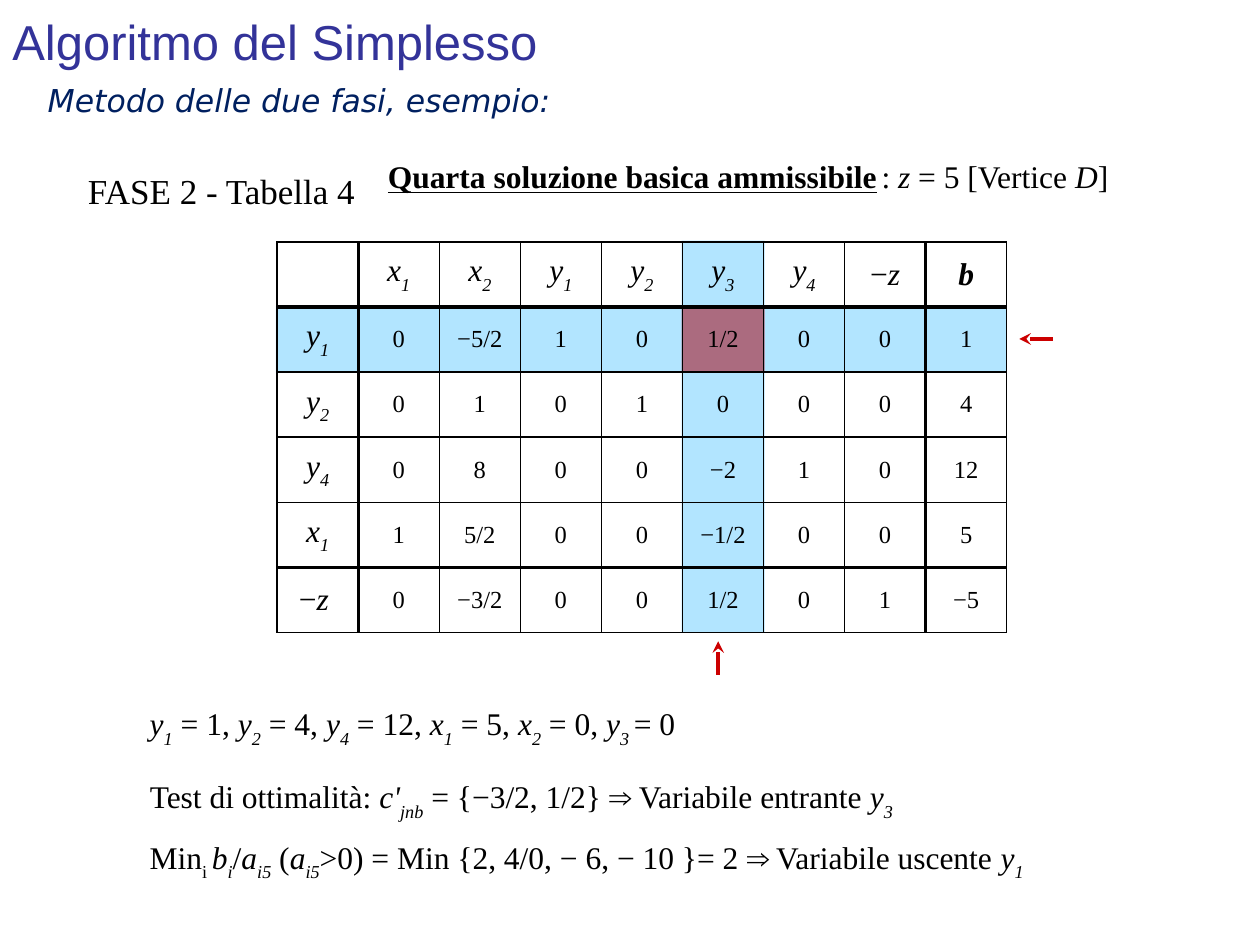
from pptx import Presentation
from pptx.dml.color import RGBColor
from pptx.enum.shapes import MSO_CONNECTOR as Connector, MSO_SHAPE as Shape
from pptx.enum.text import MSO_ANCHOR as Anchor, PP_ALIGN as Align
from pptx.oxml import parse_xml
from pptx.oxml.ns import nsdecls, qn
from pptx.util import Inches, Pt

BLACK = RGBColor(0x00, 0x00, 0x00)
TITLE_BLUE = RGBColor(0x33, 0x33, 0x99)
NAVY = RGBColor(0x00, 0x20, 0x60)
SKY = RGBColor(0x66, 0xCC, 0xFF)
RED = RGBColor(0xCC, 0x00, 0x00)
SERIF = "Times New Roman"

THIN, THICK = 1, 2.25
THICK_COLUMN_EDGES = {1, 8}
THICK_ROW_EDGES = {1, 5}


def var(name, index):
    """Runs of an italic variable with an italic subscript."""
    return [(name, "i"), (index, "is")]


MINUS_Z = ["−", ("z", "i")]
HEADER = [[], var("x", "1"), var("x", "2"), var("y", "1"), var("y", "2"),
          var("y", "3"), var("y", "4"), MINUS_Z, [("b", "bi")]]
TABLEAU = [
    (var("y", "1"), "0 −5/2 1 0 1/2 0 0 1"),
    (var("y", "2"), "0 1 0 1 0 0 0 4"),
    (var("y", "4"), "0 8 0 0 −2 1 0 12"),
    (var("x", "1"), "1 5/2 0 0 −1/2 0 0 5"),
    (["−", ("z ", "i")], "0 −3/2 0 0 1/2 0 1 −5"),
]


def write(paragraph, runs, size=18, font=SERIF, color=BLACK, align=Align.LEFT):
    """Write runs: plain strings or (text, style), style letters b, i, u, s(ubscript)."""
    paragraph.alignment = align
    for item in runs:
        text, style = (item, "") if isinstance(item, str) else item
        run = paragraph.add_run()
        run.text = text
        run.font.size = Pt(size)
        run.font.name = font
        run.font.color.rgb = color
        run.font.bold = "b" in style
        run.font.italic = "i" in style
        run.font.underline = "u" in style
        if "s" in style:
            run.font._element.set("baseline", "-30000")


def add_text(slide, left, top, width, height, runs, anchor=Anchor.TOP, **text_format):
    box = slide.shapes.add_textbox(Inches(left), Inches(top), Inches(width), Inches(height))
    box.text_frame.word_wrap = True
    box.text_frame.vertical_anchor = anchor
    write(box.text_frame.paragraphs[0], runs, **text_format)


def add_highlight(slide, left, top, width, height, color):
    shape = slide.shapes.add_shape(
        Shape.RECTANGLE, Inches(left), Inches(top), Inches(width), Inches(height))
    shape.shadow.inherit = False
    shape.line.fill.background()
    shape.fill.solid()
    shape.fill.fore_color.rgb = color
    color_element = shape._element.spPr.find(qn("a:solidFill"))[0]
    color_element.append(parse_xml(f'<a:alpha {nsdecls("a")} val="50000"/>'))


def add_arrow(slide, tip_x, tip_y, tail_x, tail_y):
    arrow = slide.shapes.add_connector(
        Connector.STRAIGHT, Inches(tip_x), Inches(tip_y), Inches(tail_x), Inches(tail_y))
    arrow.line.color.rgb = RED
    arrow.line.width = Pt(2.25)
    arrow.line._get_or_add_ln().append(
        parse_xml(f'<a:headEnd {nsdecls("a")} type="stealth"/>'))
    arrow._element.spPr.append(parse_xml(f'<a:effectLst {nsdecls("a")}/>'))


def set_borders(cell, row, column):
    edges = {
        "lnL": column in THICK_COLUMN_EDGES,
        "lnR": column + 1 in THICK_COLUMN_EDGES,
        "lnT": row in THICK_ROW_EDGES,
        "lnB": row + 1 in THICK_ROW_EDGES,
    }
    properties = cell._tc.get_or_add_tcPr()
    for tag, thick in edges.items():
        width = Pt(THICK if thick else THIN)
        properties.append(parse_xml(
            f'<a:{tag} {nsdecls("a")} w="{width}"><a:solidFill>'
            f'<a:srgbClr val="{BLACK}"/></a:solidFill></a:{tag}>'))


def add_tableau(slide, left, top, width, height):
    rows = [HEADER] + [[basis] + [[value] for value in values.split()]
                       for basis, values in TABLEAU]
    table = slide.shapes.add_table(
        len(rows), len(HEADER), Inches(left), Inches(top), Inches(width), Inches(height)).table
    table.first_row = table.horz_banding = False
    for column in table.columns:
        column.width = Inches(width / len(HEADER))
    for r, row in enumerate(rows):
        table.rows[r].height = Inches(height / len(rows))
        for c, runs in enumerate(row):
            cell = table.cell(r, c)
            set_borders(cell, r, c)
            cell.fill.background()
            cell.vertical_anchor = Anchor.MIDDLE
            size = 18 if r == 0 or c == 0 else 14
            write(cell.text_frame.paragraphs[0], runs, size=size, align=Align.CENTER)


def main():
    presentation = Presentation()
    presentation.slide_width, presentation.slide_height = Inches(10), Inches(7.5)
    slide = presentation.slides.add_slide(presentation.slide_layouts[6])

    # Pivot row, pivot column and pivot element, behind the table
    add_highlight(slide, 2.19, 2.43, 5.8, 0.53, SKY)
    add_highlight(slide, 5.41, 1.91, 0.66, 3.11, SKY)
    add_highlight(slide, 5.41, 2.44, 0.66, 0.51, RED)

    # Arrows to the entering column and the leaving row
    add_arrow(slide, 5.7, 5.09, 5.7, 5.36)
    add_arrow(slide, 8.09, 2.69, 8.36, 2.69)

    add_tableau(slide, 2.2, 1.92, 5.79, 3.1)

    # Headings
    add_text(slide, 0, -0.03, 9, 0.71, ["Algoritmo del Simplesso"],
             anchor=Anchor.MIDDLE, size=28, font="Arial", color=TITLE_BLUE)
    add_text(slide, 0.28, 0.59, 8.52, 0.4, [("Metodo delle due fasi, esempio:", "i")],
             font="DejaVu Sans", color=NAVY)
    add_text(slide, 0.6, 1.3, 3.97, 0.43, ["FASE 2 - Tabella 4"], size=20)
    add_text(slide, 2.98, 1.2, 6.73, 0.5,
             [("Quarta soluzione basica ammissibile", "bu"), (" ", "is"), ": ", ("z", "i"),
              " = 5 [Vertice ", ("D", "i"), "]"], align=Align.JUSTIFY)

    # Solution, optimality test and ratio test
    add_text(slide, 1.09, 5.54, 7.9, 0.5,
             [*var("y", "1"), " = 1, ", *var("y", "2"), " = 4, ", *var("y", "4"), " = 12, ",
              *var("x", "1"), " = 5, ", *var("x", "2"), " = 0, ", *var("y", "3 "), "= 0"],
             align=Align.JUSTIFY)
    add_text(slide, 1.09, 6.12, 8.49, 0.4,
             ["Test di ottimalità: ", *var("c'", "jnb"),
              " = {−3/2, 1/2} ⇒ Variabile entrante ", *var("y", "3")], align=Align.JUSTIFY)
    add_text(slide, 1.09, 6.6, 7.9, 0.4,
             ["Min", ("i ", "s"), *var("b", "i"), "/", *var("a", "i5"), " (", *var("a", "i5"),
              ">0) = Min {2, 4/0, − 6, − 10 }= 2 ⇒ Variabile uscente ", *var("y", "1")],
             align=Align.JUSTIFY)

    presentation.save("out.pptx")


if __name__ == "__main__":
    main()
